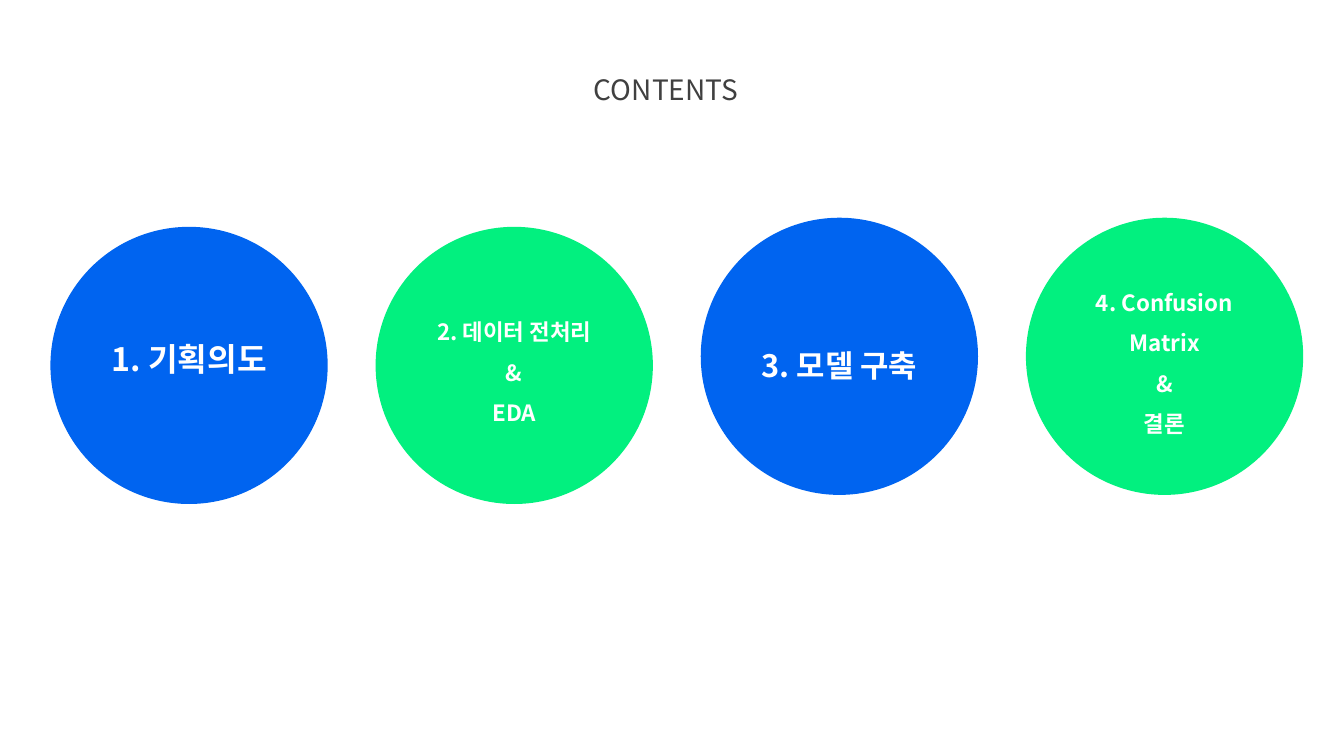
from pptx import Presentation
from pptx.dml.color import RGBColor
from pptx.enum.shapes import MSO_SHAPE
from pptx.enum.text import MSO_ANCHOR, PP_ALIGN
from pptx.oxml.ns import qn
from pptx.util import Inches, Pt

COLORS = {"blue": "0064F0", "green": "02F07F", "white": "FFFFFF", "heading": "404040"}
FONT = "Noto Sans CJK KR"
DIAMETER = 2.75
FIRST_LEFT = 0.5
STEP = 3.225

CHAPTERS = [
    (["1. 기획의도"], "blue", 2.25, 23, 0.37),
    (["2. 데이터 전처리", "&", "EDA"], "green", 2.25, 16, 0.05),
    (["3. 모델 구축"], "blue", 2.16, 22, 0.05),
    (["4. Confusion Matrix", "&", "결론"], "green", 2.16, 16, 0.05),
]


def color(name):
    return RGBColor.from_string(COLORS[name])


def set_attributes(target, values):
    for name, value in values.items():
        setattr(target, name, value)


def write_lines(frame, lines, size, color_name, bold):
    frame.word_wrap = True
    for index, line in enumerate(lines):
        paragraph = frame.paragraphs[0] if index == 0 else frame.add_paragraph()
        set_attributes(paragraph, {"alignment": PP_ALIGN.CENTER, "line_spacing": 1.5})
        run = paragraph.add_run()
        run.text = line
        set_attributes(run.font, {"name": FONT, "size": Pt(size), "bold": bold})
        run.font.color.rgb = color(color_name)
        east_asian = run.font._element.makeelement(qn("a:ea"), {"typeface": FONT})
        run.font._element.append(east_asian)


def add_heading(slide, text):
    heading = slide.shapes.add_textbox(Inches(4.29), Inches(0.5), Inches(4.63), Inches(0.52))
    write_lines(heading.text_frame, [text], 20, "heading", False)


def add_chapter(slide, left, lines, fill, top, size, bottom_inset):
    circle = slide.shapes.add_shape(
        MSO_SHAPE.OVAL, Inches(left), Inches(top), Inches(DIAMETER), Inches(DIAMETER)
    )
    circle.shadow.inherit = False
    circle.fill.solid()
    circle.fill.fore_color.rgb = color(fill)
    circle.line.fill.background()
    set_attributes(circle.text_frame, {
        "vertical_anchor": MSO_ANCHOR.MIDDLE,
        "margin_bottom": Inches(bottom_inset),
    })
    write_lines(circle.text_frame, lines, size, "white", True)


def main():
    deck = Presentation()
    set_attributes(deck, {"slide_width": Inches(13.33), "slide_height": Inches(7.5)})
    slide = deck.slides.add_slide(deck.slide_layouts[6])
    add_heading(slide, "CONTENTS")
    for index, chapter in enumerate(CHAPTERS):
        add_chapter(slide, FIRST_LEFT + index * STEP, *chapter)
    deck.save("out.pptx")


if __name__ == "__main__":
    main()
